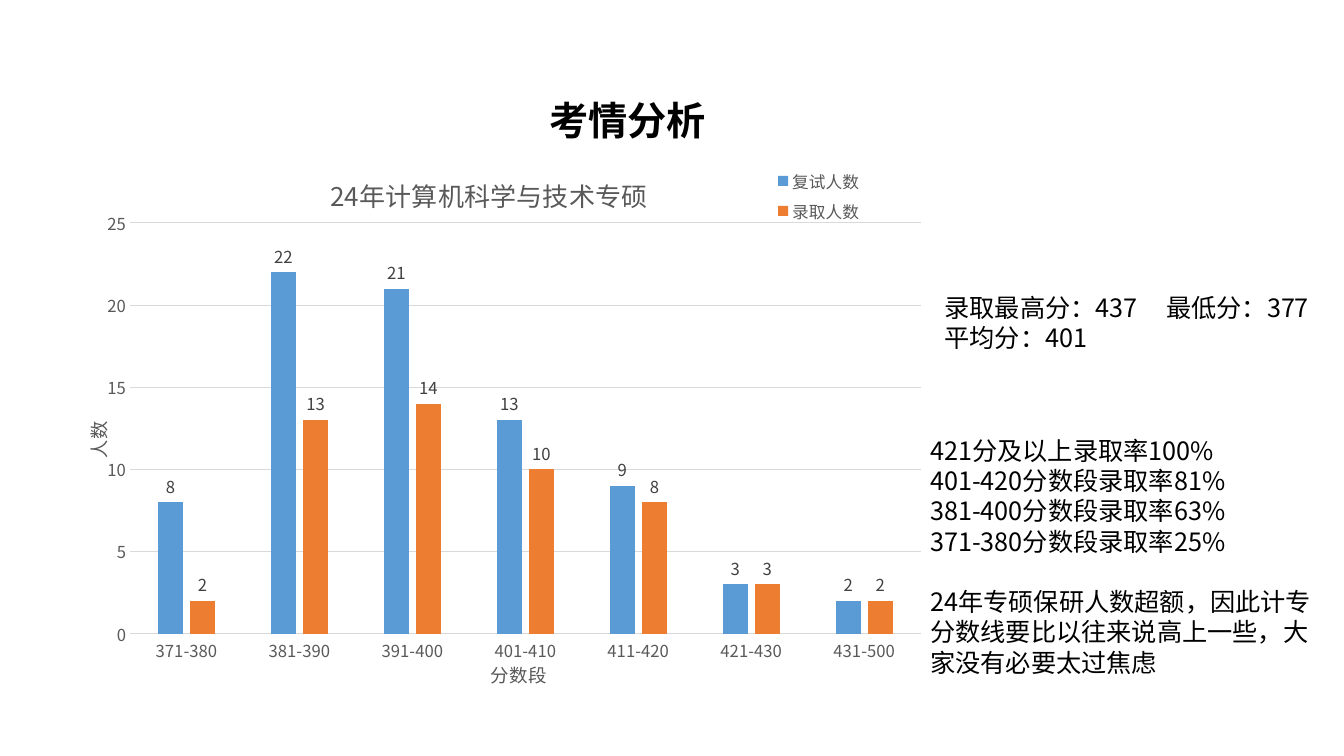
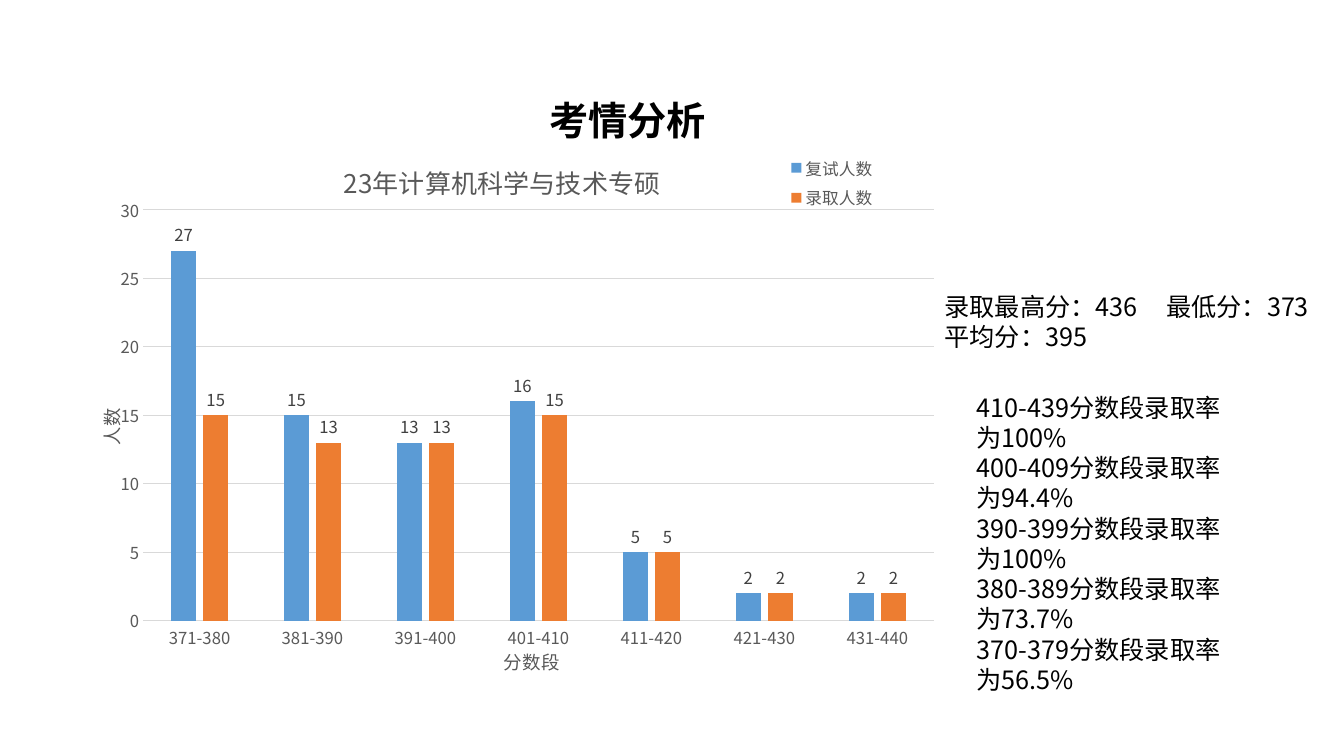
import pptx
import pptx.chart.data
import pptx.dml.color
import pptx.enum.chart
import pptx.enum.text
import pptx.oxml
import pptx.oxml.ns
import pptx.util

COLORS = {
    "ink": "000000", "muted": "595959", "label": "404040",
    "grid": "D9D9D9", "interview": "5B9BD5", "admitted": "ED7D31",
}
CJK = "Noto Sans CJK SC"
LINE_FACTOR = 1.2
FORMATS = {
    "heading": {"name": "Arial", "size": 28, "bold": True, "color": "ink"},
    "body": {"name": CJK, "size": 18, "bold": False, "color": "ink"},
    "chart_title": {"name": CJK, "size": 18.6, "bold": False, "color": "muted"},
    "axis_title": {"name": CJK, "size": 13.2, "bold": False, "color": "muted"},
    "tick": {"name": CJK, "size": 11.9, "bold": False, "color": "muted"},
    "value": {"name": CJK, "size": 11.9, "bold": False, "color": "label"},
}
HEADING_BOX = (26.7, 12.13, 40, 7.6)
CHART_SIZE = (63.3, 72.27)
PLOT_LAYOUT = {"x": 0.07, "y": 0.14, "w": 0.93, "h": 0.76}
LEGEND_LAYOUT = {"x": 0.82, "y": 0.03, "w": 0.12, "h": 0.12}
BANDS = ["371-380", "381-390", "391-400", "401-410", "411-420", "421-430"]

SLIDES = [
    {
        "chart": {
            "title": "24年计算机科学与技术专硕", "origin": (5.25, 19.47),
            "bands": BANDS + ["431-500"], "top": 25,
            "interview": [8, 22, 21, 13, 9, 3, 2],
            "admitted": [2, 13, 14, 10, 8, 3, 2],
        },
        "scores": (["录取最高分：437\t最低分：377", "平均分：401"], (69.53, 38, 31.5, 9.47)),
        "rates": (
            ["421分及以上录取率100%", "401-420分数段录取率81%",
             "381-400分数段录取率63%", "371-380分数段录取率25%",
             "24年专硕保研人数超额，因此计专分数线要比以往来说高上一些，大家没有必要太过焦虑"],
            (68.48, 56.93, 30.45, 28.8)),
        "gap_before": 4,
    },
    {
        "chart": {
            "title": "23年计算机科学与技术专硕", "origin": (6.23, 17.73),
            "bands": BANDS + ["431-440"], "top": 30,
            "interview": [27, 15, 13, 16, 5, 2, 2],
            "admitted": [15, 13, 13, 15, 5, 2, 2],
        },
        "scores": (["录取最高分：436\t最低分：373", "平均分：395"], (69.53, 37.87, 31.5, 9.47)),
        "rates": (
            ["410-439分数段录取率为100%", "400-409分数段录取率为94.4%",
             "390-399分数段录取率为100%", "380-389分数段录取率为73.7%",
             "370-379分数段录取率为56.5%"],
            (71.93, 51.2, 20.93, 40.67)),
        "gap_before": None,
    },
]

deck = pptx.Presentation()
deck.slide_width = pptx.util.Inches(13.33)
deck.slide_height = pptx.util.Inches(7.5)


def rgb(key):
    """Return the named colour."""
    return pptx.dml.color.RGBColor.from_string(COLORS[key])


def place(box):
    """Turn a box in hundredths of the slide into lengths."""
    sides = (deck.slide_width, deck.slide_height) * 2
    return [int(side * share / 100) for side, share in zip(sides, box)]


def style_font(font, kind):
    """Apply a named format, with an East Asian typeface."""
    values = dict(FORMATS[kind])
    font.color.rgb = rgb(values.pop("color"))
    values["size"] = pptx.util.Pt(values["size"])
    for attribute, value in values.items():
        setattr(font, attribute, value)
    east_asian = pptx.oxml.parse_xml(
        f'<a:ea {pptx.oxml.ns.nsdecls("a")} typeface="{CJK}"/>')
    font._element.append(east_asian)


def set_layout(element, index, shares):
    """Fix a chart part at shares of the chart's size."""
    for old in element.findall(pptx.oxml.ns.qn("c:layout")):
        element.remove(old)
    target = '<c:layoutTarget val="inner"/>' if index == 0 else ""
    modes = "".join(f'<c:{key}Mode val="edge"/>' for key in shares if key in "xy")
    sizes = "".join(f'<c:{key} val="{share}"/>' for key, share in shares.items())
    element.insert(index, pptx.oxml.parse_xml(
        f'<c:layout {pptx.oxml.ns.nsdecls("c")}><c:manualLayout>'
        f'{target}{modes}{sizes}</c:manualLayout></c:layout>'))


def add_text(page, lines, box, kind, align=None, gap_before=None):
    """Write lines as paragraphs in one wrapped text box."""
    frame = page.shapes.add_textbox(*place(box)).text_frame
    frame.word_wrap = True
    pitch = pptx.util.Pt(FORMATS[kind]["size"] * LINE_FACTOR)
    for index, line in enumerate(lines):
        para = frame.paragraphs[0] if index == 0 else frame.add_paragraph()
        para.line_spacing = pitch
        if align is not None:
            para.alignment = align
        if index == gap_before:
            para.space_before = pitch
        if "\t" in line:
            para._p.get_or_add_pPr().append(pptx.oxml.parse_xml(
                f'<a:tabLst {pptx.oxml.ns.nsdecls("a")}>'
                f'<a:tab pos="{pptx.util.Inches(2.2)}" algn="l"/></a:tabLst>'))
        span = para.add_run()
        span.text = line
        style_font(span.font, kind)


def set_title(title, text, kind, shares):
    """Write and position a chart or axis title."""
    span = title.text_frame.paragraphs[0].add_run()
    span.text = text
    style_font(span.font, kind)
    set_layout(title._element, 1, shares)


def style_axes(chart, top):
    """Format both axes and their titles."""
    category, value = chart.category_axis, chart.value_axis
    for axis in (category, value):
        axis.major_tick_mark = pptx.enum.chart.XL_TICK_MARK.NONE
        axis.minor_tick_mark = pptx.enum.chart.XL_TICK_MARK.NONE
        style_font(axis.tick_labels.font, "tick")
    value.has_major_gridlines = True
    for line in (category.format.line, value.major_gridlines.format.line):
        line.color.rgb = rgb("grid")
        line.width = pptx.util.Pt(0.75)
    value.format.line.fill.background()
    scale = {"minimum_scale": 0, "maximum_scale": top, "major_unit": 5}
    for attribute, number in scale.items():
        setattr(value, attribute, number)
    set_title(category.axis_title, "分数段", "axis_title", {"x": 0.49, "y": 0.94})
    set_title(value.axis_title, "人数", "axis_title", {"x": 0.01, "y": 0.5})
    body = value.axis_title.text_frame._txBody.bodyPr
    body.set("rot", "-5400000")
    body.set("vert", "horz")


def add_score_chart(page, content):
    """Draw the clustered columns of interviewed and admitted candidates."""
    data = pptx.chart.data.CategoryChartData()
    data.categories = content["bands"]
    data.add_series("复试人数", content["interview"])
    data.add_series("录取人数", content["admitted"])
    chart = page.shapes.add_chart(
        pptx.enum.chart.XL_CHART_TYPE.COLUMN_CLUSTERED,
        *place(content["origin"] + CHART_SIZE), data).chart
    chart.font.name = CJK
    chart.font.size = pptx.util.Pt(10)
    chart.has_title = True
    set_title(chart.chart_title, content["title"], "chart_title", {"x": 0.3, "y": 0.04})
    plot = chart.plots[0]
    formats = {"gap_width": 219, "overlap": -27, "vary_by_categories": False}
    for attribute, value in formats.items():
        setattr(plot, attribute, value)
    for series, color in zip(plot.series, ("interview", "admitted")):
        series.format.fill.solid()
        series.format.fill.fore_color.rgb = rgb(color)
        labels = series.data_labels
        labels.show_value = True
        labels.position = pptx.enum.chart.XL_LABEL_POSITION.OUTSIDE_END
        style_font(labels.font, "value")
    style_axes(chart, content["top"])
    chart.has_legend = True
    chart.legend.position = pptx.enum.chart.XL_LEGEND_POSITION.BOTTOM
    chart.legend.include_in_layout = False
    style_font(chart.legend.font, "tick")
    set_layout(chart.legend._element, 1, LEGEND_LAYOUT)
    set_layout(chart._chartSpace.chart.plotArea, 0, PLOT_LAYOUT)


def add_analysis_slide(content):
    """Build one year's slide: heading, chart, scores and rates."""
    page = deck.slides.add_slide(deck.slide_layouts[6])
    add_text(page, ["考情分析"], HEADING_BOX, "heading",
             align=pptx.enum.text.PP_ALIGN.CENTER)
    add_text(page, *content["scores"], "body")
    add_score_chart(page, content["chart"])
    add_text(page, *content["rates"], "body", gap_before=content["gap_before"])


def main():
    """Build and save the deck."""
    for content in SLIDES:
        add_analysis_slide(content)
    deck.save("out.pptx")


if __name__ == "__main__":
    main()
